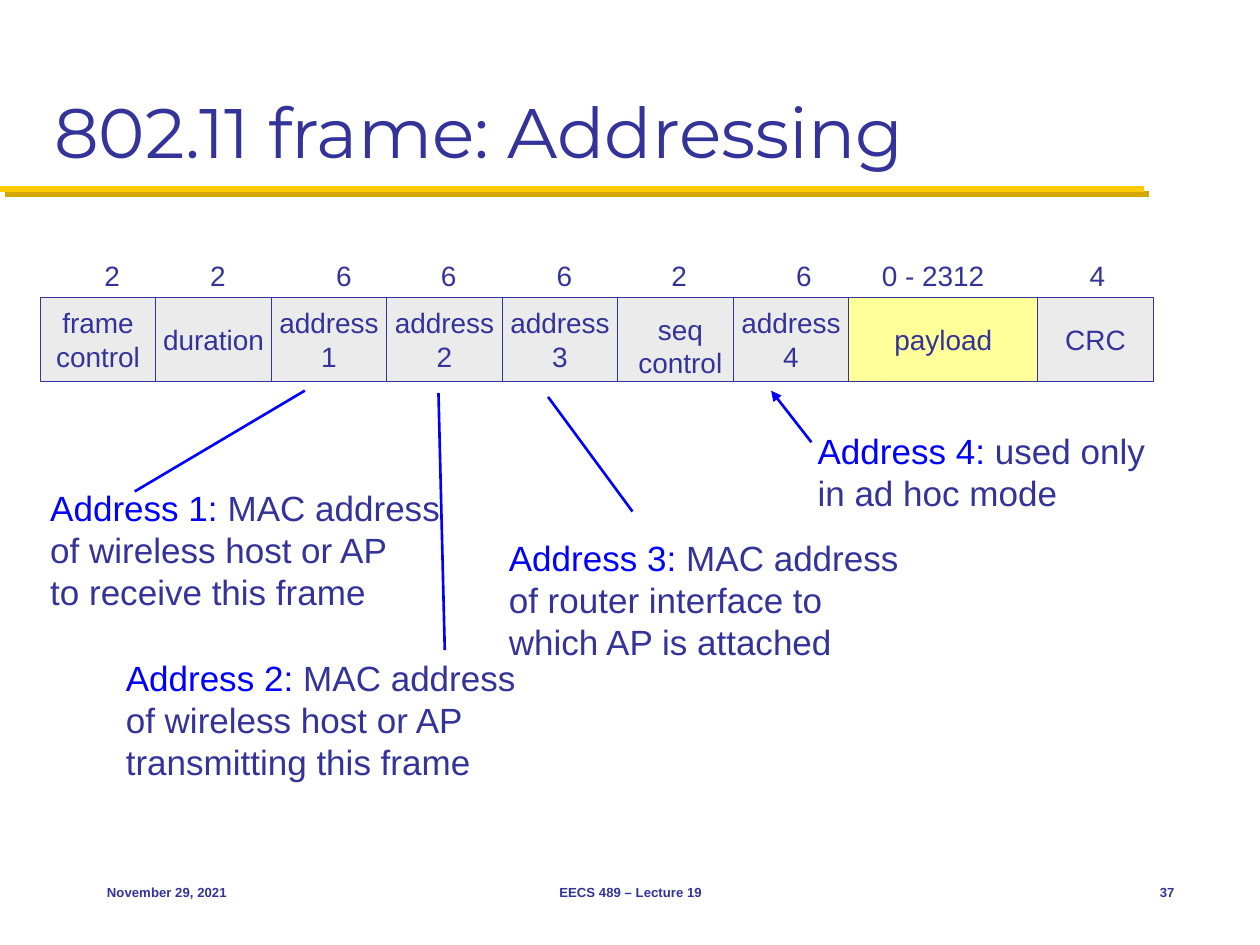
from lxml.etree import SubElement
from pptx import Presentation
from pptx.dml.color import RGBColor
from pptx.enum.shapes import MSO_CONNECTOR as Connector, MSO_SHAPE as Shape
from pptx.enum.text import MSO_ANCHOR as Anchor, MSO_AUTO_SIZE as AutoSize, PP_ALIGN as Align
from pptx.oxml.ns import qn
from pptx.util import Inches, Pt

NAVY = RGBColor(0x33, 0x33, 0x99)
BLUE = RGBColor(0x00, 0x00, 0xFF)
GRAY = RGBColor(0xEB, 0xEB, 0xEB)
YELLOW = RGBColor(0xFF, 0xFF, 0x99)
GOLD = RGBColor(0xFF, 0xCB, 0x05)
DARK_GOLD = RGBColor(0xD3, 0xA6, 0x00)

FRAME_LEFT, FRAME_TOP, FRAME_HEIGHT = 0.32, 2.36, 0.67
UNIT, PAYLOAD_WIDTH = 11 / 12, 1.5

# Frame fields: lines of the name, size in bytes, left edge of the size label
FIELDS = [
    (["frame", "control"], "2", 0.73),
    (["duration"], "2", 1.57),
    (["address", "1"], "6", 2.57),
    (["address", "2"], "6", 3.4),
    (["address", "3"], "6", 4.32),
    (["seq", "control"], "2", 5.23),
    (["address", "4"], "6", 6.22),
    (["payload"], "0 - 2312", 6.9),
    (["CRC"], "4", 8.55),
]

# Notes: box, wrap, label, lines after the label
NOTES = [
    ((0.9, 5.16, 3.32, 1.11), False, "Address 2: ",
     ["MAC address", "of wireless host or AP", "transmitting this frame"]),
    ((0.3, 3.81, 3.32, 1.11), False, "Address 1: ",
     ["MAC address", "of wireless host or AP", "to receive this frame"]),
    ((3.94, 4.21, 3.34, 1.11), True, "Address 3: ",
     ["MAC address", "of router interface to which AP is attached"]),
    ((6.39, 3.36, 2.85, 0.77), True, "Address 4: ", ["used only in ad hoc mode"]),
]

# Pointers from notes to fields: start, end, arrowhead
POINTERS = [
    ((1.07, 3.9), (2.42, 3.1), False),
    ((3.53, 5.16), (3.48, 3.12), False),
    ((5.02, 4.06), (4.35, 3.15), False),
    ((6.44, 3.51), (6.12, 3.1), True),
]

FOOTERS = [
    ((0.75, 6.83, 2.08, 0.5), "November 29, 2021", Align.LEFT),
    ((3.42, 6.83, 3.17, 0.5), "EECS 489 – Lecture 19", Align.CENTER),
    ((8.75, 6.83, 0.67, 0.5), "37", Align.RIGHT),
]


def add_run(paragraph, text, size, color=NAVY, bold=False, font="Arial"):
    run = paragraph.add_run()
    run.text = text
    run.font.name = font
    run.font.size = Pt(size)
    run.font.bold = bold
    run.font.color.rgb = color


def write_lines(frame, lines, size, align=Align.LEFT, label=None, bold=False):
    for index, line in enumerate(lines):
        paragraph = frame.add_paragraph() if index else frame.paragraphs[0]
        paragraph.alignment = align
        if label and index == 0:
            add_run(paragraph, label, size, BLUE)
        add_run(paragraph, line, size, bold=bold)


def add_text(slide, box, lines, size, wrap=False, anchor=Anchor.TOP, **style):
    frame = slide.shapes.add_textbox(*map(Inches, box)).text_frame
    frame.word_wrap = wrap
    frame.vertical_anchor = anchor
    write_lines(frame, lines, size, **style)


def add_field(slide, left, width, color, lines):
    field = slide.shapes.add_shape(
        Shape.RECTANGLE, Inches(left), Inches(FRAME_TOP), Inches(width), Inches(FRAME_HEIGHT))
    field.shadow.inherit = False
    field.fill.solid()
    field.fill.fore_color.rgb = color
    field.line.color.rgb = NAVY
    field.line.width = Pt(0.75)
    field.text_frame.word_wrap = False
    field.text_frame.vertical_anchor = Anchor.MIDDLE
    write_lines(field.text_frame, lines, 16, Align.CENTER)


def add_line(slide, start, end, color, width, arrow=False):
    """Draw a straight line and return its effect list."""
    line = slide.shapes.add_connector(Connector.STRAIGHT, *map(Inches, start + end))
    line.line.color.rgb = color
    line.line.width = Pt(width)
    if arrow:
        SubElement(line.line._get_or_add_ln(), qn("a:tailEnd"), type="triangle")
    return SubElement(line._element.spPr, qn("a:effectLst"))


def add_title(slide, text):
    title = slide.shapes.title
    title.left, title.top, title.width, title.height = map(Inches, (0.33, 0.17, 9.33, 1.25))
    frame = title.text_frame
    frame.auto_size = AutoSize.NONE
    frame.vertical_anchor = Anchor.BOTTOM
    frame.paragraphs[0].alignment = Align.LEFT
    add_run(frame.paragraphs[0], text, 40, font="Montserrat")


def add_title_rule(slide):
    effects = add_line(slide, (0, 1.5), (9.08, 1.5), GOLD, 3.5)
    shadow = SubElement(effects, qn("a:outerShdw"), dist=str(Pt(4.2)),
                        dir=str(45 * 60000), algn="ctr", rotWithShape="0")
    SubElement(shadow, qn("a:srgbClr"), val=str(DARK_GOLD))


def add_frame_diagram(slide):
    left = FRAME_LEFT
    for lines, byte_count, label_left in FIELDS:
        is_payload = lines == ["payload"]
        width = PAYLOAD_WIDTH if is_payload else UNIT
        if lines[0] == "seq":
            # This name sits slightly low, in a box of its own
            add_field(slide, left, width, GRAY, [])
            add_text(slide, (4.96, 2.43, 0.88, 0.64), lines, 16, align=Align.CENTER)
        else:
            add_field(slide, left, width, YELLOW if is_payload else GRAY, lines)
        label_width = 1.03 if is_payload else 0.33
        add_text(slide, (label_left, 2, label_width, 0.37), [byte_count], 16)
        left += width


def main():
    presentation = Presentation()
    presentation.slide_width, presentation.slide_height = Inches(10), Inches(7.5)
    slide = presentation.slides.add_slide(presentation.slide_layouts[5])

    # Heading
    add_title_rule(slide)
    add_title(slide, "802.11 frame: Addressing")

    # Frame with its explanations
    add_frame_diagram(slide)
    for box, wrap, label, lines in NOTES:
        add_text(slide, box, lines, 20, wrap, label=label)
    for start, end, arrow in POINTERS:
        add_line(slide, start, end, BLUE, 1.5, arrow)

    # Footer
    for box, text, align in FOOTERS:
        add_text(slide, box, [text], 7.5, True, Anchor.MIDDLE, align=align, bold=True)

    presentation.save("out.pptx")


if __name__ == "__main__":
    main()
